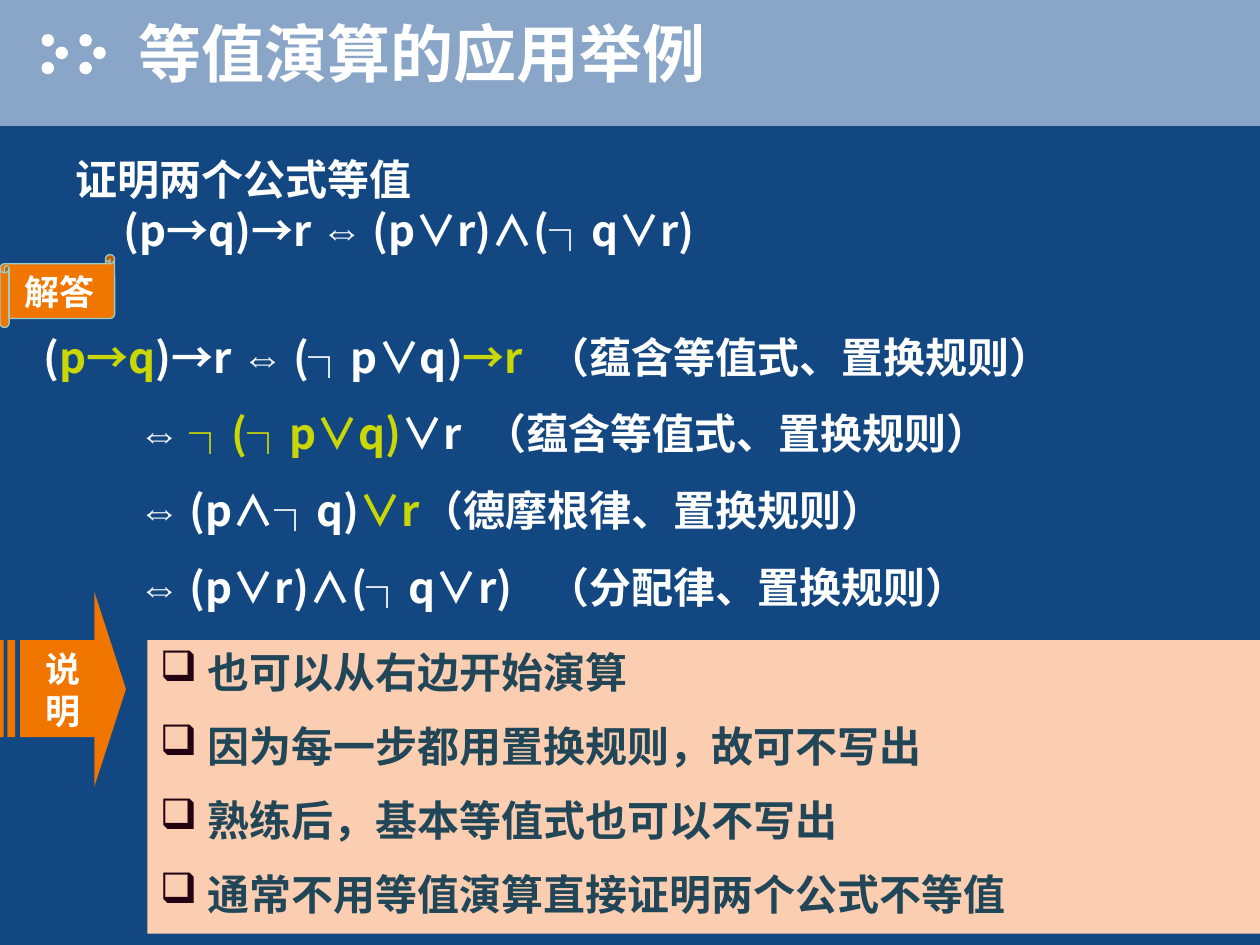
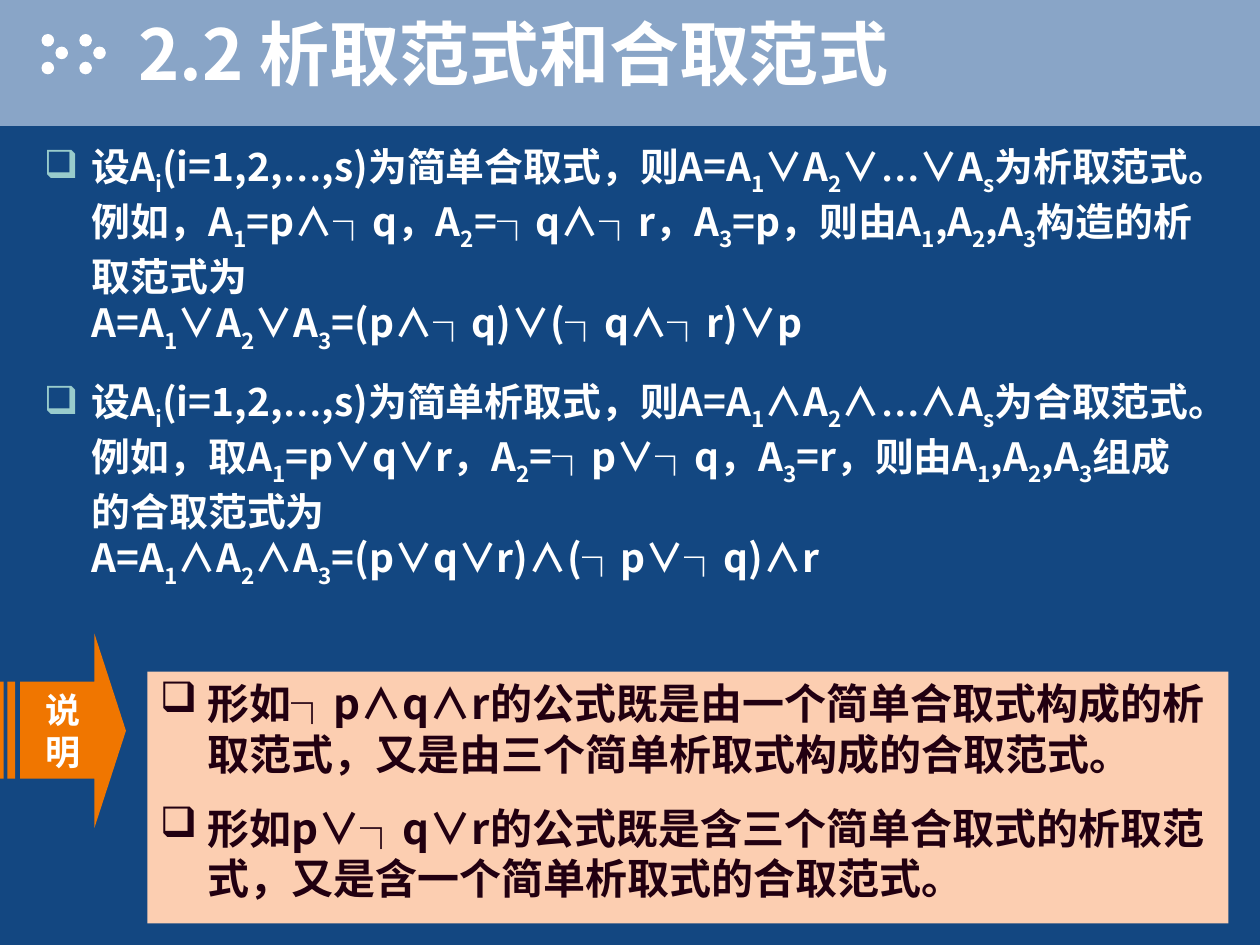
from itertools import groupby

from lxml.etree import SubElement
from pptx import Presentation
from pptx.dml.color import RGBColor
from pptx.enum.shapes import MSO_SHAPE
from pptx.enum.text import MSO_ANCHOR, PP_ALIGN
from pptx.oxml import parse_xml
from pptx.oxml.ns import nsdecls, qn
from pptx.util import Inches, Pt

NAVY = RGBColor(0x13, 0x47, 0x81)
BAND = RGBColor(0x89, 0xA5, 0xC7)
WHITE = RGBColor(0xFF, 0xFF, 0xFF)
LIME = RGBColor(0xCA, 0xD7, 0x04)
ORANGE = RGBColor(0xF0, 0x76, 0x00)
PEACH = RGBColor(0xFC, 0xCE, 0xB1)
TEAL = RGBColor(0x99, 0xCC, 0xCC)
SLATE = RGBColor(0x20, 0x46, 0x58)
DARK = RGBColor(0x22, 0x00, 0x11)

SANS = "Noto Sans CJK SC"
SYMBOL_FONTS = {"⇔": "Arial", "…": "Times New Roman"}
HANG = 0.38


def styled_chars(text):
    """Yield (char, font, subscript, highlight); _ lowers the next char, [ ] highlight."""
    lowered = highlight = False
    for ch in text:
        if ch == "_":
            lowered = True
        elif ch in "[]":
            highlight = ch == "["
        else:
            yield ch, SYMBOL_FONTS.get(ch), lowered, highlight
            lowered = False


def set_typeface(font, r_pr, name):
    """Use one typeface for both Latin and East Asian characters."""
    font.name = name
    r_pr.find(qn("a:latin")).addnext(
        parse_xml(f'<a:ea {nsdecls("a")} typeface="{name}"/>'))


class Deck:
    def __init__(self):
        self.prs = Presentation()
        self.prs.slide_width, self.prs.slide_height = Inches(10), Inches(7.5)
        self.s = None

    def new_slide(self, title, title_size):
        self.s = self.prs.slides.add_slide(self.prs.slide_layouts[6])
        self.s.background.fill.solid()
        self.s.background.fill.fore_color.rgb = NAVY
        self.shape(self.s.shapes, MSO_SHAPE.RECTANGLE, 0, 0, 10, 1, BAND)
        dots = self.s.shapes.add_group_shape().shapes
        for left in (0.33, 0.63):
            for dx, top in ((0, 0.27), (0.11, 0.37), (0, 0.49)):
                self.shape(dots, MSO_SHAPE.OVAL, left + dx, top, 0.1, 0.1, WHITE)
        tf = self.text_box(1, 0, 9, 0.83)
        tf.vertical_anchor = MSO_ANCHOR.MIDDLE
        p = self.paragraph(tf, title, title_size)
        self.text_shadow(p)

    @staticmethod
    def paint(sp, fill, line=None):
        sp.shadow.inherit = False
        sp.fill.solid()
        sp.fill.fore_color.rgb = fill
        if line is None:
            sp.line.fill.background()
        else:
            sp.line.color.rgb = line
            sp.line.width = Pt(0.75)

    def shape(self, shapes, kind, left, top, width, height, fill, line=None):
        sp = shapes.add_shape(kind, Inches(left), Inches(top),
                              Inches(width), Inches(height))
        self.paint(sp, fill, line)
        return sp

    def text_box(self, left, top, width, height):
        tf = self.s.shapes.add_textbox(Inches(left), Inches(top),
                                       Inches(width), Inches(height)).text_frame
        tf.word_wrap = True
        return tf

    @staticmethod
    def paragraph(tf, text, size, color=WHITE, font=SANS, before=0,
                  align=PP_ALIGN.LEFT, margin=0, indent=0):
        """Fill the empty first paragraph of tf, or append another one."""
        p = tf.paragraphs[0]
        if p.runs:
            p = tf.add_paragraph()
        p.alignment = align
        p.space_before = Pt(before)
        p.font.size, p.font.bold = Pt(size), True
        p.font.color.rgb = color
        p_pr = p._p.get_or_add_pPr()
        set_typeface(p.font, p_pr.find(qn("a:defRPr")), font)
        p_pr.set("marL", str(Inches(margin)))
        p_pr.set("indent", str(Inches(indent)))
        for style, chars in groupby(styled_chars(text), key=lambda c: c[1:]):
            run_font, lowered, highlight = style
            for i, part in enumerate("".join(c[0] for c in chars).split("\n")):
                if i:
                    p.add_line_break()
                if not part:
                    continue
                r = p.add_run()
                r.text = part
                r_pr = r._r.get_or_add_rPr()
                if run_font:
                    set_typeface(r.font, r_pr, run_font)
                if lowered:
                    r_pr.set("baseline", "-30000")
                if highlight:
                    r.font.color.rgb = LIME
        return p

    @staticmethod
    def text_shadow(p):
        for r in p.runs:
            r._r.get_or_add_rPr().insert(0, parse_xml(
                f'<a:effectLst {nsdecls("a")}><a:outerShdw dist="35921" dir="2700000">'
                f'<a:srgbClr val="{DARK}"/></a:outerShdw></a:effectLst>'))

    def bullets(self, tf, items, size, color, bullet_color):
        for item in items:
            p = self.paragraph(tf, item, size, color, before=13.5,
                               margin=HANG, indent=-HANG)
            def_rpr = p._p.pPr.find(qn("a:defRPr"))
            def_rpr.addprevious(parse_xml(
                f'<a:buClr {nsdecls("a")}><a:srgbClr val="{bullet_color}"/></a:buClr>'))
            def_rpr.addprevious(parse_xml(f'<a:buChar {nsdecls("a")} char="❑"/>'))

    def derivation(self, tf, steps, step_indent, tab_stops):
        """One justified line a step; all but the first are indented."""
        for i, step in enumerate(steps):
            p = self.paragraph(tf, step, 24, before=15, align=PP_ALIGN.JUSTIFY,
                               indent=step_indent if i else 0)
            tabs = parse_xml(f'<a:tabLst {nsdecls("a")}/>')
            for stop in tab_stops:
                SubElement(tabs, qn("a:tab"), pos=str(Inches(stop)), algn="l")
            p._p.pPr.find(qn("a:defRPr")).addprevious(tabs)

    def label(self, sp, text, side_margin):
        tf = sp.text_frame
        tf.word_wrap = True
        tf.vertical_anchor = MSO_ANCHOR.MIDDLE
        tf.margin_left = tf.margin_right = Inches(side_margin)
        self.paragraph(tf, text, 20, font="Arial", align=PP_ALIGN.CENTER)

    def note_arrow(self, top):
        """Striped arrow from the left edge, marked as a remark."""
        tip, upper, lower, bottom = (top + dy for dy in (0.77, 0.38, 1.15, 1.54))
        outlines = [[(0.75, top), (0.75, upper), (0.16, upper), (0.16, lower),
                     (0.75, lower), (0.75, bottom), (1, tip)]]
        for x1, x2 in ((0.06, 0.12), (0, 0.03)):
            outlines.append([(x1, upper), (x1, lower), (x2, lower), (x2, upper)])
        builder = None
        for outline in outlines:
            start, *rest = [(Inches(x), Inches(y)) for x, y in outline]
            if builder is None:
                builder = self.s.shapes.build_freeform(*start)
            else:
                builder.move_to(*start)
            builder.add_line_segments(rest, close=True)
        sp = builder.convert_to_shape()
        self.paint(sp, ORANGE)
        self.label(sp, "说明", 0.3)

    def note_panel(self, top, width, height, items, color):
        sp = self.shape(self.s.shapes, MSO_SHAPE.RECTANGLE, 1.17, top, width, height, PEACH)
        tf = sp.text_frame
        tf.word_wrap = True
        tf.vertical_anchor = MSO_ANCHOR.TOP
        self.bullets(tf, items, 24, color, DARK)

    def scroll_tag(self, text):
        sp = self.shape(self.s.shapes, MSO_SHAPE.HORIZONTAL_SCROLL,
                        0, 2.02, 0.91, 0.58, ORANGE, TEAL)
        self.label(sp, text, 0)


def add_equivalence_example(deck):
    deck.new_slide("等值演算的应用举例", 36)
    deck.paragraph(deck.text_box(0.5, 1.17, 8.17, 0.92),
                   "证明两个公式等值\n(p→q)→r ⇔ (p∨r)∧(┐q∨r)", 24,
                   before=13.5, margin=HANG, indent=-HANG)
    deck.derivation(deck.text_box(0.25, 2.58, 9.5, 2.33), [
        "([p→q])→r ⇔ (┐p∨q)[→r]\t（蕴含等值式、置换规则）",
        "⇔ [┐(┐p∨q)]∨r\t（蕴含等值式、置换规则）",
        "⇔ (p∧┐q)[∨r]\t（德摩根律、置换规则）",
        "⇔ (p∨r)∧(┐q∨r)\t（分配律、置换规则）",
    ], step_indent=0.75, tab_stops=(3, 4))
    deck.note_arrow(4.7)
    deck.note_panel(5.08, 8.83, 2.33, [
        "也可以从右边开始演算",
        "因为每一步都用置换规则，故可不写出",
        "熟练后，基本等值式也可以不写出",
        "通常不用等值演算直接证明两个公式不等值",
    ], SLATE)
    deck.scroll_tag("解答")


def add_normal_forms(deck):
    deck.new_slide("2.2 析取范式和合取范式", 40)
    deck.bullets(deck.text_box(0.25, 1.08, 9.33, 3.75), [
        "设A_i(i=1,2,…,s)为简单合取式，则A=A_1∨A_2∨…∨A_s为析取范式。"
        "例如，A_1=p∧┐q，A_2=┐q∧┐r，A_3=p，则由A_1,A_2,A_3构造的析取范式为\n"
        "A=A_1∨A_2∨A_3=(p∧┐q)∨(┐q∧┐r)∨p",
        "设A_i(i=1,2,…,s)为简单析取式，则A=A_1∧A_2∧…∧A_s为合取范式。"
        "例如，取A_1=p∨q∨r，A_2=┐p∨┐q，A_3=r，则由A_1,A_2,A_3组成的合取范式为\n"
        "A=A_1∧A_2∧A_3=(p∨q∨r)∧(┐p∨┐q)∧r",
    ], 22.2, WHITE, TEAL)
    deck.note_arrow(5.03)
    deck.note_panel(5.33, 8.58, 2, [
        "形如┐p∧q∧r的公式既是由一个简单合取式构成的析取范式，"
        "又是由三个简单析取式构成的合取范式。",
        "形如p∨┐q∨r的公式既是含三个简单合取式的析取范式，"
        "又是含一个简单析取式的合取范式。",
    ], DARK)


def main():
    deck = Deck()
    add_equivalence_example(deck)
    add_normal_forms(deck)
    deck.prs.save("out.pptx")


if __name__ == "__main__":
    main()
